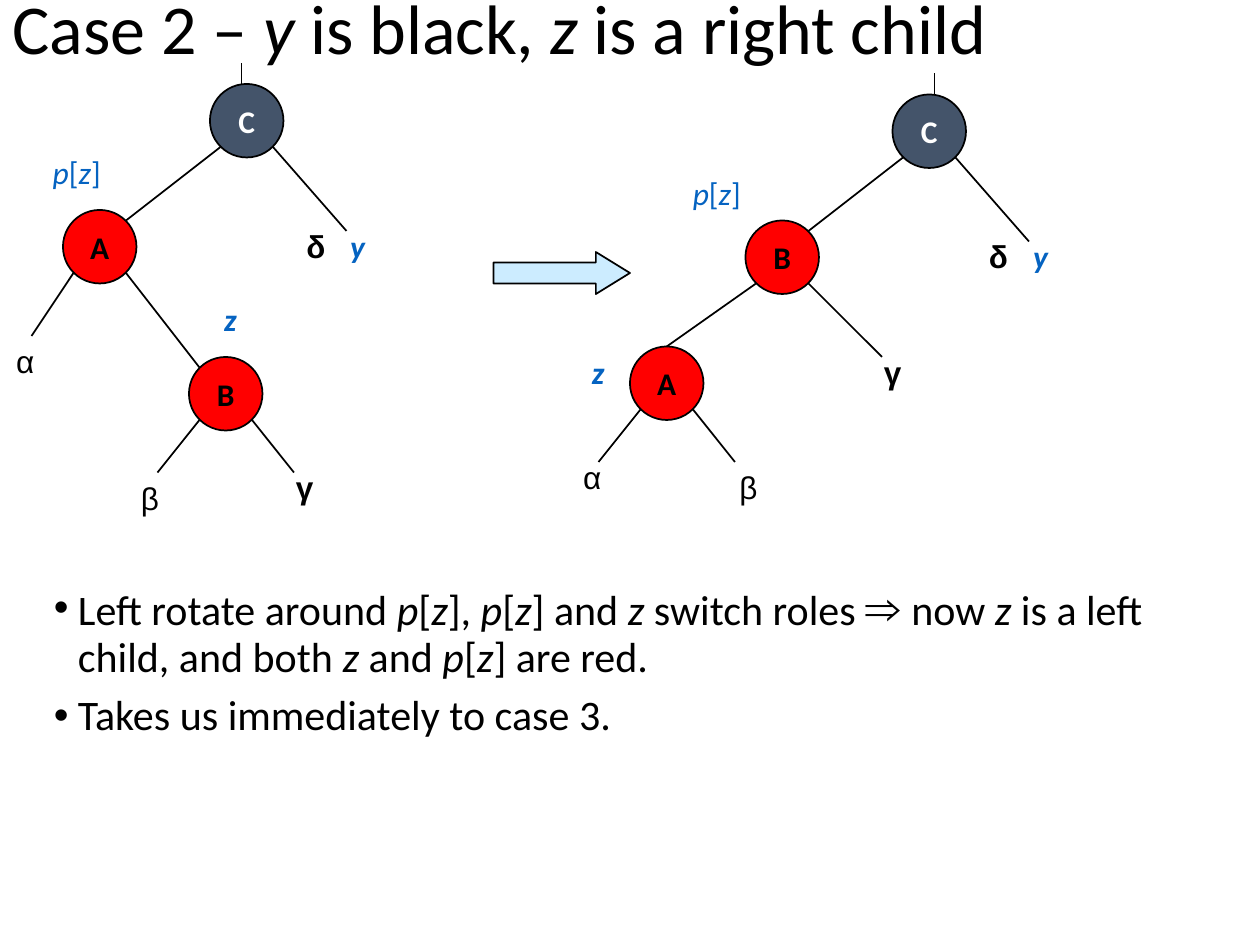
from dataclasses import dataclass
from lxml.etree import SubElement
from pptx import Presentation
from pptx.dml.color import RGBColor
from pptx.enum.shapes import MSO_CONNECTOR, MSO_SHAPE
from pptx.enum.text import MSO_ANCHOR, MSO_AUTO_SIZE, PP_ALIGN
from pptx.oxml.ns import qn
from pptx.util import Inches, Pt


@dataclass(frozen=True)
class Theme:
    black: RGBColor = RGBColor(0, 0, 0)
    white: RGBColor = RGBColor(255, 255, 255)
    slate: RGBColor = RGBColor(0x44, 0x54, 0x6A)
    red: RGBColor = RGBColor(255, 0, 0)
    blue: RGBColor = RGBColor(0x05, 0x63, 0xC1)
    pale_blue: RGBColor = RGBColor(0xCC, 0xEC, 0xFF)
    font: str = "Calibri"
    symbol_font: str = "Arial"
    space_font: str = "Lato"
    title_size: int = 40
    body_size: int = 24
    arrow_size: int = 28
    label_size: int = 18


THEME = Theme()
CELL = 1 / 12  # grid step in inches
NODE = 7       # node diameter in cells
LABEL_HEIGHT = 0.4

# Points where edges meet a node, in cells from its top left corner
TOP, TOP_LEFT, TOP_RIGHT = (3.5, 0), (1, 1), (6, 1)
LOW_LEFT, LOW_RIGHT = (1, 6), (6, 6)

# Label kinds: width in inches, font, colour, bold
LABEL_STYLES = {
    "α": (0.36, THEME.symbol_font, THEME.black, False),
    "β": (0.34, THEME.symbol_font, THEME.black, False),
    "γ": (0.41, THEME.symbol_font, THEME.black, True),
    "δ": (0.37, THEME.symbol_font, THEME.black, True),
    "*z*": (0.3, THEME.font, THEME.blue, True),
    "*y*": (0.32, THEME.font, THEME.blue, True),
    "*p*[*z*]": (0.58, THEME.font, THEME.blue, False),
}

# Node places, edges (node, exit, end cell or node with its entry), label places
BEFORE = dict(
    nodes={"C": (20, 2), "A": (6, 14), "B": (18, 28)},
    edges=[("C", LOW_LEFT, ("A", TOP_RIGHT)), ("C", LOW_RIGHT, (33, 16)),
           ("A", LOW_RIGHT, ("B", TOP_LEFT)), ("A", LOW_LEFT, (3, 26)),
           ("B", LOW_LEFT, (15, 39)), ("B", LOW_RIGHT, (28, 39)),
           ("C", (3, 0), (23, 0))],
    labels={"α": (0.36, 26), "β": (12.24, 39), "γ": (27, 38), "δ": (28, 15),
            "*z*": (20.16, 22), "*y*": (32.16, 15), "*p*[*z*]": (3.84, 8)},
)
AFTER = dict(
    nodes={"C": (31, 2), "B": (17, 14), "A": (6, 26)},
    edges=[("C", LOW_LEFT, ("B", TOP_RIGHT)), ("C", LOW_RIGHT, (44, 16)),
           ("B", LOW_LEFT, ("A", TOP)), ("B", LOW_RIGHT, (30, 27)),
           ("A", LOW_LEFT, (3, 37)), ("A", LOW_RIGHT, (16, 37)),
           ("C", (4, 0), (35, 0))],
    labels={"α": (0.36, 36), "β": (15.24, 37), "γ": (29, 26), "δ": (39, 15),
            "*z*": (1.2, 26), "*y*": (43.2, 15), "*p*[*z*]": (10.8, 9)},
)


def style_font(font, name, size, color, bold=False):
    font.name, font.size, font.bold = name, Pt(size), bold
    font.color.rgb = color


def add_runs(paragraph, text):
    """Add text in which *stars* enclose italics."""
    for index, part in enumerate(text.split("*")):
        if part:
            run = paragraph.add_run()
            run.text = part
            run.font.italic = index % 2 == 1
    return run


def style_outline(shape, fill):
    shape.shadow.inherit = False
    shape.fill.solid()
    shape.fill.fore_color.rgb = fill
    shape.line.color.rgb = THEME.black
    shape.line.width = Pt(1)


def add_node(slide, letter, x, y):
    node = slide.shapes.add_shape(MSO_SHAPE.OVAL, x, y, *[Inches(NODE * CELL)] * 2)
    is_root = letter == "C"
    style_outline(node, THEME.slate if is_root else THEME.red)
    frame = node.text_frame
    frame.word_wrap = False
    frame.vertical_anchor = MSO_ANCHOR.MIDDLE
    paragraph = frame.paragraphs[0]
    paragraph.alignment = PP_ALIGN.CENTER
    style_font(paragraph.font, THEME.font, THEME.label_size,
               THEME.white if is_root else THEME.black, True)
    paragraph.add_run().text = letter


def add_edge(slide, start, end):
    edge = slide.shapes.add_connector(MSO_CONNECTOR.STRAIGHT, *start, *end)
    edge.line.color.rgb = THEME.black
    edge.line.width = Pt(1)
    SubElement(edge._element.spPr, qn("a:effectLst"))


def add_label(slide, text, x, y):
    width, font, color, bold = LABEL_STYLES[text]
    frame = slide.shapes.add_textbox(x, y, Inches(width), Inches(LABEL_HEIGHT)).text_frame
    frame.word_wrap = False
    paragraph = frame.paragraphs[0]
    style_font(paragraph.font, font, THEME.label_size, color, bold)
    add_runs(paragraph, text)


def add_tree(slide, left, top, nodes, edges, labels):
    def place(cell, offset=(0, 0)):
        return (Inches(left + (cell[0] + offset[0]) * CELL),
                Inches(top + (cell[1] + offset[1]) * CELL))

    for letter, cell in nodes.items():
        add_node(slide, letter, *place(cell))
    for parent, leave, target in edges:
        end = place(nodes[target[0]], target[1]) if target[0] in nodes else place(target)
        add_edge(slide, place(nodes[parent], leave), end)
    for text, cell in labels.items():
        add_label(slide, text, *place(cell))


def add_title(slide, left, top, width, height):
    title = slide.shapes.title
    title.left, title.top, title.width, title.height = map(Inches, (left, top, width, height))
    frame = title.text_frame
    frame.auto_size = MSO_AUTO_SIZE.NONE
    frame.vertical_anchor = MSO_ANCHOR.MIDDLE
    paragraph = frame.paragraphs[0]
    paragraph.alignment = PP_ALIGN.LEFT
    paragraph.line_spacing = 0.9
    style_font(paragraph.font, THEME.font, THEME.title_size, THEME.black)
    add_runs(paragraph, "Case 2 – *y* is black, *z* is a right child")


def add_rotation_arrow(slide, left, top, width, height):
    arrow = slide.shapes.add_shape(MSO_SHAPE.RIGHT_ARROW, *map(Inches, (left, top, width, height)))
    arrow.adjustments[1] = 0.81
    style_outline(arrow, THEME.pale_blue)


def add_bullet(paragraph):
    paragraph.line_spacing = 0.9
    paragraph.space_before = Pt(7.5)
    style_font(paragraph.font, THEME.font, THEME.body_size, THEME.black)
    properties = paragraph._p.get_or_add_pPr()
    properties.set("marL", str(Inches(0.19)))
    properties.set("indent", str(-Inches(0.19)))
    bullet_font = properties.makeelement(qn("a:buFont"), {"typeface": THEME.symbol_font})
    bullet = properties.makeelement(qn("a:buChar"), {"char": "•"})
    default_font = properties.find(qn("a:defRPr"))
    default_font.addprevious(bullet_font)
    default_font.addprevious(bullet)


def add_explanation(slide, left, top, width, height):
    frame = slide.shapes.add_textbox(*map(Inches, (left, top, width, height))).text_frame
    frame.word_wrap = True
    rotation, outcome = frame.paragraphs[0], frame.add_paragraph()
    for paragraph in (rotation, outcome):
        add_bullet(paragraph)
    add_runs(rotation, "Left rotate around *p*[*z*], *p*[*z*] and *z* switch roles ")
    implies = add_runs(rotation, "⇒")
    implies.font.name, implies.font.size = THEME.symbol_font, Pt(THEME.arrow_size)
    add_runs(rotation, " ").font.name = THEME.space_font
    add_runs(rotation, "now *z* is a left child, and both *z* and *p*[*z*] are red.")
    add_runs(outcome, "Takes us immediately to case 3.")


def main():
    deck = Presentation()
    deck.slide_width, deck.slide_height = Inches(10), Inches(7.5)
    slide = deck.slides.add_slide(deck.slide_layouts[5])
    add_title(slide, 0, -0.25, 10, 1)
    add_explanation(slide, 0.33, 4.58, 9.25, 2.5)
    # Tree before and after the left rotation
    add_tree(slide, 0, 6 * CELL, **BEFORE)
    add_rotation_arrow(slide, 47 * CELL, 24 * CELL, 13 * CELL, 4 * CELL)
    add_tree(slide, 54 * CELL, 7 * CELL, **AFTER)
    deck.save("out.pptx")


if __name__ == "__main__":
    main()
